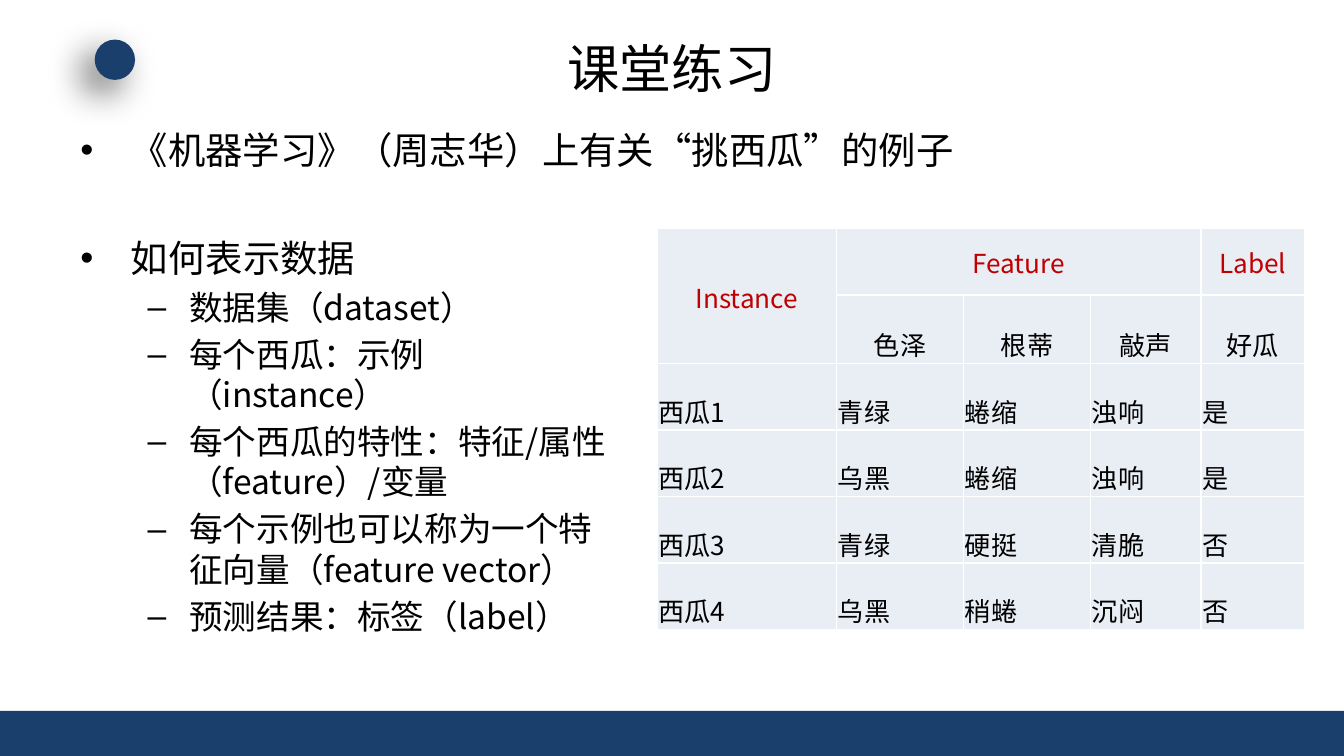
from lxml import etree
from pptx import Presentation
from pptx.dml.color import RGBColor
from pptx.enum.shapes import MSO_SHAPE
from pptx.enum.text import MSO_ANCHOR, PP_ALIGN
from pptx.oxml import parse_xml
from pptx.oxml.ns import nsdecls, qn
from pptx.util import Pt

RECT, OVAL = MSO_SHAPE.RECTANGLE, MSO_SHAPE.OVAL
TOP, MIDDLE, BOTTOM = MSO_ANCHOR.TOP, MSO_ANCHOR.MIDDLE, MSO_ANCHOR.BOTTOM
LEFT, CENTER = PP_ALIGN.LEFT, PP_ALIGN.CENTER
EMU_PER_PX = 4572
FONT, BULLET_FONT = "Noto Sans CJK SC", "Arial"
NAVY, RED, BLACK, WHITE, PALE = "1A3F6C", "C00000", "000000", "FFFFFF", "E9EDF4"
BULLETS = [("•", 75, 75, 20), ("–", 162, 62, 18)]

INTRO = [(0, "《机器学习》（周志华）上有关“挑西瓜”的例子")]
DATA_POINTS = [
    (0, "如何表示数据"),
    (1, "数据集（dataset）"),
    (1, "每个西瓜：示例（instance）"),
    (1, "每个西瓜的特性：特征/属性（feature）/变量"),
    (1, "每个示例也可以称为一个特征向量（feature vector）"),
    (1, "预测结果：标签（label）"),
]
COLUMNS = [267, 189, 189, 164, 155]
ROWS = [99, 102, 99, 99, 99, 99]
MELONS = [
    ["Instance", "Feature", "", "", "Label"],
    ["", "色泽", "根蒂", "敲声", "好瓜"],
    ["西瓜1", "青绿", "蜷缩", "浊响", "是"],
    ["西瓜2", "乌黑", "蜷缩", "浊响", "是"],
    ["西瓜3", "青绿", "硬挺", "清脆", "否"],
    ["西瓜4", "乌黑", "稍蜷", "沉闷", "否"],
]


def px(*lengths):
    """Turn pixel lengths into a list of EMU."""
    return [n * EMU_PER_PX for n in lengths]


def rgb(color):
    """Turn a hex string into a colour."""
    return RGBColor.from_string(color)


def format_runs(p, size, color):
    """Format every run of a paragraph, for Latin and East Asian text."""
    for r in p.runs:
        r.font.size = Pt(size)
        r.font.name = FONT
        r.font.color.rgb = rgb(color)
        ea = etree.SubElement(r.font._element, qn("a:ea"))
        ea.set("typeface", FONT)


def add_bullet(p, char, left, hanging):
    """Give a paragraph a bullet with a hanging indent."""
    pPr = p._p.get_or_add_pPr()
    pPr.set("marL", str(left * EMU_PER_PX))
    pPr.set("indent", str(-hanging * EMU_PER_PX))
    pPr.append(parse_xml(f'<a:buFont {nsdecls("a")} typeface="{BULLET_FONT}"/>'))
    pPr.append(parse_xml(f'<a:buChar {nsdecls("a")} char="{char}"/>'))


def add_shape(s, kind, box):
    """Add a plain navy shape."""
    sp = s.shapes.add_shape(kind, *px(*box))
    sp.shadow.inherit = False
    sp.fill.solid()
    sp.fill.fore_color.rgb = rgb(NAVY)
    sp.line.fill.background()
    return sp


def add_shadow(sp, alpha, blur, distance, angle):
    """Cast a soft black shadow from a shape."""
    effects = sp._element.spPr.find(qn("a:effectLst"))
    effects.append(parse_xml(
        f'<a:outerShdw {nsdecls("a")} blurRad="{Pt(blur)}" dist="{Pt(distance)}"'
        f' dir="{angle * 60000}" algn="ctr" rotWithShape="0"><a:srgbClr val="{BLACK}">'
        f'<a:alpha val="{alpha * 1000}"/></a:srgbClr></a:outerShdw>'))


def set_title(s, text, box):
    """Place and format the title placeholder."""
    sp = s.shapes.title
    sp.left, sp.top, sp.width, sp.height = px(*box)
    tf = sp.text_frame
    tf.text = text
    tf.vertical_anchor = MIDDLE
    tf.paragraphs[0].alignment = CENTER
    format_runs(tf.paragraphs[0], 28, BLACK)


def add_bullets(s, items, box):
    """Add a text box of (level, text) bullet points."""
    tf = s.shapes.add_textbox(*px(*box)).text_frame
    tf.word_wrap = True
    tf.vertical_anchor = TOP
    for i, (level, text) in enumerate(items):
        p = tf.add_paragraph() if i else tf.paragraphs[0]
        char, left, hanging, size = BULLETS[level]
        p.text = text
        p.level = level
        add_bullet(p, char, left, hanging)
        if i:
            p.space_before = Pt(size * 0.2)
        format_runs(p, size, BLACK)


def add_borders(cell):
    """Draw thin white borders around a cell."""
    tcPr = cell._tc.get_or_add_tcPr()
    for i, side in enumerate(("lnL", "lnR", "lnT", "lnB")):
        tcPr.insert(i, parse_xml(
            f'<a:{side} {nsdecls("a")} w="{Pt(1)}"><a:solidFill>'
            f'<a:srgbClr val="{WHITE}"/></a:solidFill></a:{side}>'))


def fill_cell(cell, text, color, align, anchor):
    """Write and format one table cell."""
    cell.fill.solid()
    cell.fill.fore_color.rgb = rgb(PALE)
    cell.margin_left, cell.margin_right, cell.margin_top, cell.margin_bottom = px(2, 2, 2, 0)
    cell.vertical_anchor = anchor
    p = cell.text_frame.paragraphs[0]
    p.text = text
    p.alignment = align
    format_runs(p, 14, color)
    add_borders(cell)


def add_melon_table(s, left, top):
    """Add the table of melons with its two header rows."""
    box = px(left, top, sum(COLUMNS), sum(ROWS))
    table = s.shapes.add_table(len(ROWS), len(COLUMNS), *box).table
    table.first_row = table.horz_banding = False
    for column, width in zip(table.columns, px(*COLUMNS)):
        column.width = width
    for row, height in zip(table.rows, px(*ROWS)):
        row.height = height
    for i, texts in enumerate(MELONS):
        color, anchor = (RED, MIDDLE) if i == 0 else (BLACK, BOTTOM)
        for j, text in enumerate(texts):
            fill_cell(table.cell(i, j), text, color, CENTER if i < 2 else LEFT, anchor)
    table.cell(0, 0).merge(table.cell(1, 0))
    table.cell(0, 1).merge(table.cell(0, 3))


def main():
    """Build the slide and save it."""
    prs = Presentation()
    prs.slide_width, prs.slide_height = px(2000, 1125)
    s = prs.slides.add_slide(prs.slide_layouts[5])
    add_shape(s, RECT, (0, 1058, 2000, 67))
    add_shadow(add_shape(s, OVAL, (141, 59, 60, 60)), 60, 20, 10, 135)
    set_title(s, "课堂练习", (100, 45, 1800, 110))
    add_bullets(s, INTRO, (100, 180, 1800, 862))
    add_bullets(s, DATA_POINTS, (100, 340, 836, 600))
    add_melon_table(s, 978, 340)
    prs.save("out.pptx")


if __name__ == "__main__":
    main()
